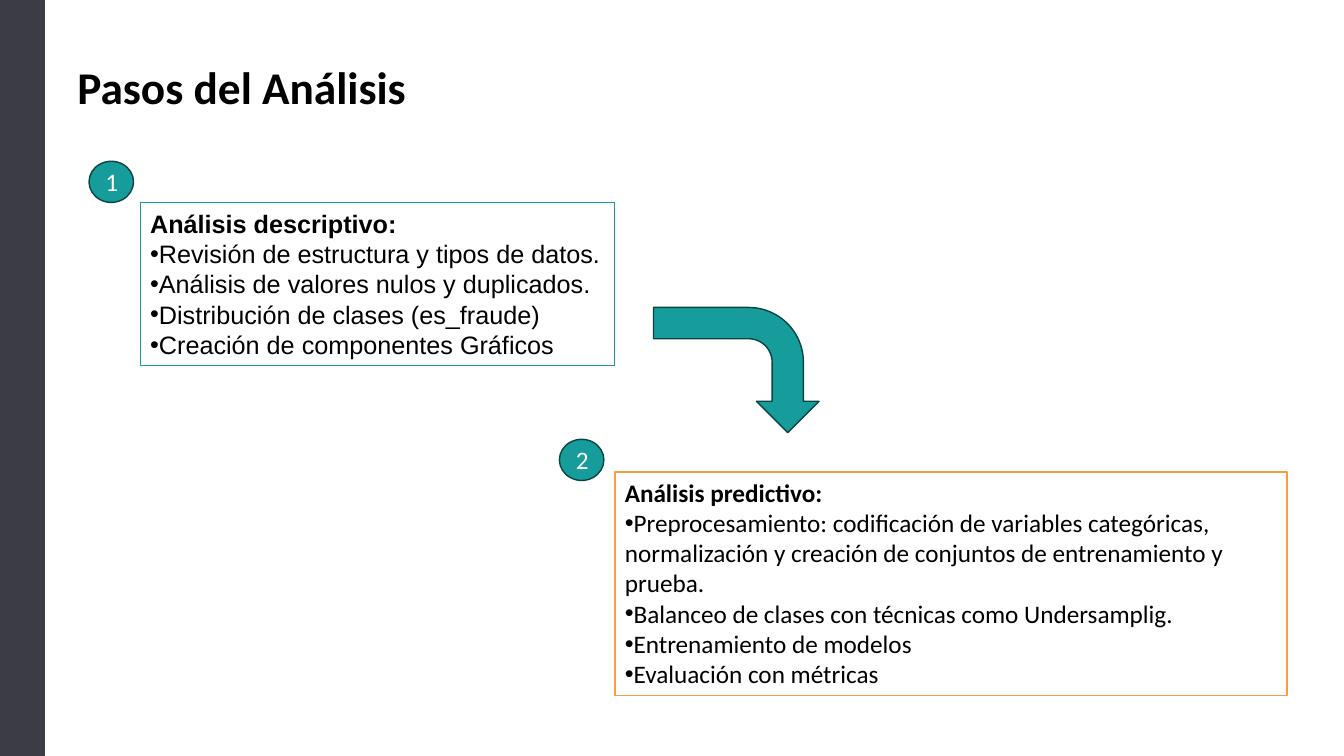
from dataclasses import dataclass

from lxml import etree
from pptx import Presentation
from pptx.dml.color import RGBColor
from pptx.enum.shapes import MSO_SHAPE
from pptx.enum.text import MSO_ANCHOR, MSO_AUTO_SIZE, PP_ALIGN
from pptx.oxml.ns import qn
from pptx.util import Inches, Pt

RECTANGLE = MSO_SHAPE.RECTANGLE
OVAL = MSO_SHAPE.OVAL
BENT_ARROW = MSO_SHAPE.BENT_ARROW
TOP = MSO_ANCHOR.TOP
MIDDLE = MSO_ANCHOR.MIDDLE
LEFT = PP_ALIGN.LEFT
CENTER = PP_ALIGN.CENTER
GROW = MSO_AUTO_SIZE.SHAPE_TO_FIT_TEXT
NO_FIT = MSO_AUTO_SIZE.NONE
TITLE_ONLY = 5

SLIDE_WIDTH, SLIDE_HEIGHT = Inches(13.33), Inches(7.5)
COLUMNS, ROWS = 160, 90


@dataclass(frozen=True)
class Theme:
    ink: str = "000000"
    paper: str = "FFFFFF"
    sidebar: str = "3C3C44"
    teal: str = "169C9A"
    dark_teal: str = "0A4443"
    orange: str = "FA9A42"
    font: str = "Calibri"
    plain_font: str = "Arial"
    title_size: float = 32.4
    body_size: float = 18
    line_width: float = 1


THEME = Theme()


@dataclass(frozen=True)
class Area:
    """A place on the slide, in grid columns and rows."""
    column: float
    row: float
    columns: float
    rows: float

    def lengths(self) -> tuple[int, int, int, int]:
        return (int(SLIDE_WIDTH * self.column / COLUMNS), int(SLIDE_HEIGHT * self.row / ROWS),
                int(SLIDE_WIDTH * self.columns / COLUMNS), int(SLIDE_HEIGHT * self.rows / ROWS))


@dataclass(frozen=True)
class Step:
    number: int
    badge_column: float
    badge_row: float
    area: Area
    outline: str
    font: str
    anchor: MSO_ANCHOR
    wrap: bool
    heading: str
    points: tuple[str, ...]


TITLE_AREA = Area(8, 7.2, 139.8, 14.9)
SIDEBAR_AREA = Area(0, 0, 5.3, ROWS)
ARROW_AREA = Area(80.2, 34.2, 14.9, 19.7)
BADGE_COLUMNS, BADGE_ROWS = 5.3, 4.9

STEPS = (
    Step(1, 10.6, 19.2, Area(16.7, 24.1, 56.5, 19.4), THEME.teal, THEME.plain_font, MIDDLE, False,
         "Análisis descriptivo:",
         ("Revisión de estructura y tipos de datos.",
          "Análisis de valores nulos y duplicados.",
          "Distribución de clases (es_fraude)",
          "Creación de componentes Gráficos")),
    Step(2, 66.6, 52.3, Area(73.2, 56.2, 80, 26.6), THEME.orange, THEME.font, TOP, True,
         "Análisis predictivo:",
         ("Preprocesamiento: codificación de variables categóricas, normalización y "
          "creación de conjuntos de entrenamiento y prueba.",
          "Balanceo de clases con técnicas como Undersamplig.",
          "Entrenamiento de modelos",
          "Evaluación con métricas")),
)


def add_figure(page, kind: MSO_SHAPE, area: Area, fill: str, outline: str):
    figure = page.shapes.add_shape(kind, *area.lengths())
    figure.shadow.inherit = False
    figure.fill.solid()
    figure.fill.fore_color.rgb = RGBColor.from_string(fill)
    figure.line.color.rgb = RGBColor.from_string(outline)
    figure.line.width = Pt(THEME.line_width)
    return figure


def format_paragraph(para, font: str, size: float, color: str,
                     bold: bool = False, align: PP_ALIGN = LEFT) -> None:
    para.alignment = align
    for span in para.runs:
        span.font.name = font
        span.font.size = Pt(size)
        span.font.bold = bold
        span.font.color.rgb = RGBColor.from_string(color)


def add_bullet(para) -> None:
    """Put a bullet directly before the text, without a hanging indent."""
    properties = para._p.get_or_add_pPr()
    properties.set("marL", "0")
    properties.set("indent", "0")
    font = etree.SubElement(properties, qn("a:buFont"))
    font.set("typeface", THEME.plain_font)
    etree.SubElement(properties, qn("a:buChar")).set("char", "•")


def add_title(page) -> None:
    title = page.shapes.title
    title.left, title.top, title.width, title.height = TITLE_AREA.lengths()
    frame = title.text_frame
    frame.text = "Pasos del Análisis"
    frame.vertical_anchor = TOP
    frame.auto_size = NO_FIT
    frame.word_wrap = True
    para = frame.paragraphs[0]
    para.line_spacing = 0.9
    format_paragraph(para, THEME.font, THEME.title_size, THEME.ink, bold=True)


def add_panel(page, step: Step) -> None:
    panel = add_figure(page, RECTANGLE, step.area, THEME.paper, step.outline)
    frame = panel.text_frame
    frame.text = "\n".join((step.heading, *step.points))
    frame.word_wrap = step.wrap
    frame.auto_size = GROW
    frame.vertical_anchor = step.anchor
    for index, para in enumerate(frame.paragraphs):
        format_paragraph(para, step.font, THEME.body_size, THEME.ink, bold=index == 0)
        if index > 0:
            add_bullet(para)


def add_badge(page, step: Step) -> None:
    area = Area(step.badge_column, step.badge_row, BADGE_COLUMNS, BADGE_ROWS)
    badge = add_figure(page, OVAL, area, THEME.teal, THEME.dark_teal)
    frame = badge.text_frame
    frame.text = str(step.number)
    frame.vertical_anchor = MIDDLE
    format_paragraph(frame.paragraphs[0], THEME.font, THEME.body_size, THEME.paper, align=CENTER)


def main() -> None:
    deck = Presentation()
    deck.slide_width, deck.slide_height = SLIDE_WIDTH, SLIDE_HEIGHT
    page = deck.slides.add_slide(deck.slide_layouts[TITLE_ONLY])
    add_title(page)
    add_figure(page, RECTANGLE, SIDEBAR_AREA, THEME.sidebar, THEME.sidebar)
    for step in STEPS:
        add_panel(page, step)
    arrow = add_figure(page, BENT_ARROW, ARROW_AREA, THEME.teal, THEME.dark_teal)
    arrow.rotation = 90
    for step in STEPS:
        add_badge(page, step)
    deck.save("out.pptx")


if __name__ == "__main__":
    main()
